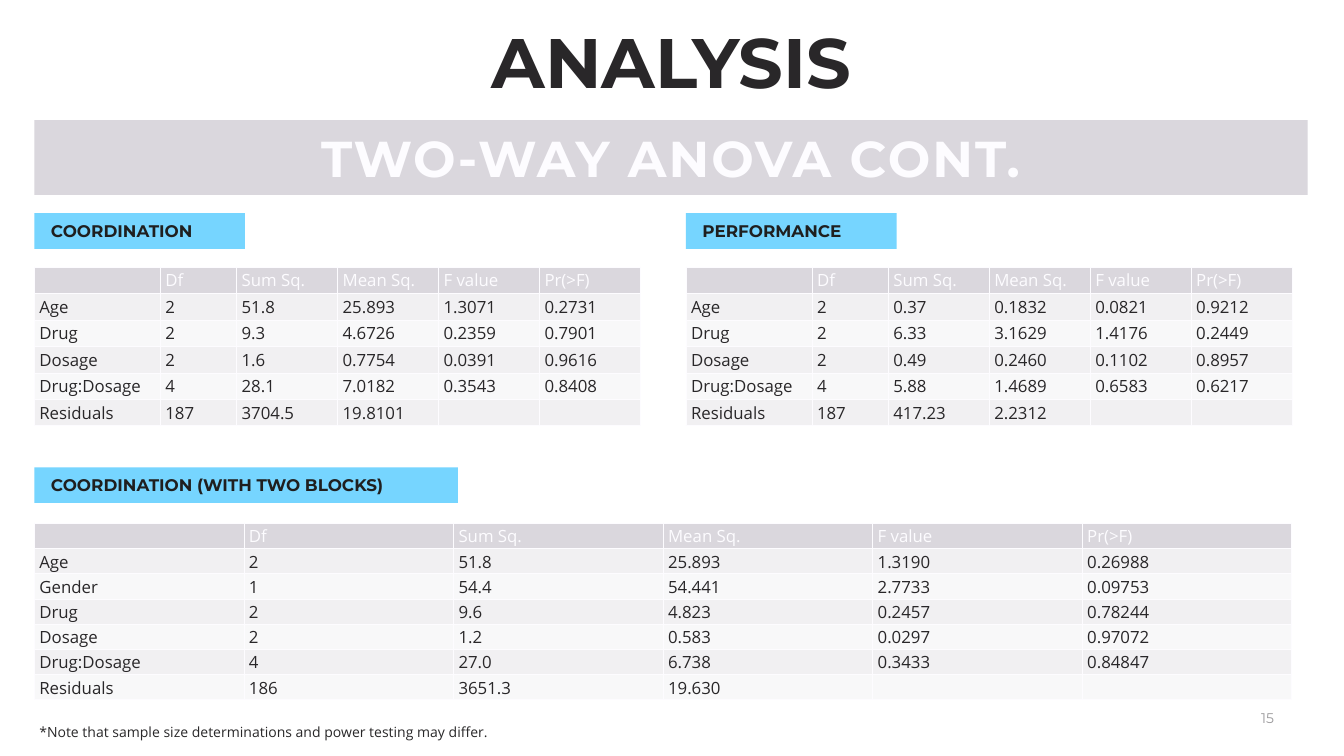
from lxml import etree
from pptx import Presentation
from pptx.dml.color import RGBColor
from pptx.enum.shapes import MSO_SHAPE
from pptx.enum.text import MSO_ANCHOR, PP_ALIGN
from pptx.oxml.ns import qn
from pptx.util import Pt

RECTANGLE = MSO_SHAPE.RECTANGLE
MIDDLE, TOP = MSO_ANCHOR.MIDDLE, MSO_ANCHOR.TOP
CENTER, LEFT = PP_ALIGN.CENTER, PP_ALIGN.LEFT

HEADING, BODY = "Montserrat", "Open Sans"
DARK, WHITE, GREY, BLUE = "292729", "FDFCFF", "DAD7DD", "76D5FF"
BANDS = ["F1F0F2", "F8F8F9"]

HEADER = ["", "Df", "Sum Sq.", "Mean Sq.", "F value", "Pr(>F)"]
COORDINATION = [
    ["Age", "2", "51.8", "25.893", "1.3071", "0.2731"],
    ["Drug", "2", "9.3", "4.6726", "0.2359", "0.7901"],
    ["Dosage", "2", "1.6", "0.7754", "0.0391", "0.9616"],
    ["Drug:Dosage", "4", "28.1", "7.0182", "0.3543", "0.8408"],
    ["Residuals", "187", "3704.5", "19.8101", "", ""],
]
PERFORMANCE = [
    ["Age", "2", "0.37", "0.1832", "0.0821", "0.9212"],
    ["Drug", "2", "6.33", "3.1629", "1.4176", "0.2449"],
    ["Dosage", "2", "0.49", "0.2460", "0.1102", "0.8957"],
    ["Drug:Dosage", "4", "5.88", "1.4689", "0.6583", "0.6217"],
    ["Residuals", "187", "417.23", "2.2312", "", ""],
]
TWO_BLOCKS = [
    ["Age", "2", "51.8", "25.893", "1.3190", "0.26988"],
    ["Gender", "1", "54.4", "54.441", "2.7733", "0.09753"],
    ["Drug", "2", "9.6", "4.823", "0.2457", "0.78244"],
    ["Dosage", "2", "1.2", "0.583", "0.0297", "0.97072"],
    ["Drug:Dosage", "4", "27.0", "6.738", "0.3433", "0.84847"],
    ["Residuals", "186", "3651.3", "19.630", "", ""],
]

MARGIN, SECOND = 49, 980
NARROW = [180, 109] + [144.25] * 4
WIDE = [299.4] * 6
SECTIONS = [
    ("COORDINATION", COORDINATION, MARGIN, 304.5, 301, 381.5, NARROW, 37.8),
    ("PERFORMANCE", PERFORMANCE, SECOND, 304.5, 301, 381.5, NARROW, 37.8),
    ("COORDINATION (WITH TWO BLOCKS)", TWO_BLOCKS, MARGIN, 667.5, 605, 747.5, WIDE, 36),
]


def color(value):
    return RGBColor.from_string(value)


def add_span(para, text, size, font, ink, bold=False):
    span = para.add_run()
    span.text = text
    span.font.size = Pt(size)
    span.font.name = font
    span.font.bold = bold
    span.font.color.rgb = color(ink)
    return span


def fill_frame(box, text, size, font, ink, bold, align, anchor, insets):
    frame = box.text_frame
    frame.word_wrap = True
    frame.vertical_anchor = anchor
    frame.margin_left, frame.margin_top, frame.margin_right, frame.margin_bottom = map(Pt, insets)
    para = frame.paragraphs[0]
    para.alignment = align
    return para, add_span(para, text, size, font, ink, bold)


def add_text(page, place, text, size, font, ink, bold=False, align=CENTER, insets=(3, 3, 3, 3)):
    box = page.shapes.add_textbox(*map(Pt, place))
    return fill_frame(box, text, size, font, ink, bold, align, TOP, insets)


def add_bar(page, place, back, text, size, ink, align, inset):
    bar = page.shapes.add_shape(RECTANGLE, *map(Pt, place))
    bar.shadow.inherit = False
    bar.fill.solid()
    bar.fill.fore_color.rgb = color(back)
    bar.line.fill.background()
    return fill_frame(bar, text, size, HEADING, ink, True, align, MIDDLE, (inset, 3, 3, 3))


def set_borders(cell, widths):
    properties = cell._tc.get_or_add_tcPr()
    for side, width in zip("LRTB", widths):
        line = etree.SubElement(properties, qn(f"a:ln{side}"), w=str(Pt(width)))
        solid = etree.SubElement(line, qn("a:solidFill"))
        etree.SubElement(solid, qn("a:srgbClr"), val=WHITE)


def add_anova(page, left, top, widths, height, records):
    rows = [HEADER] + records
    table = page.shapes.add_table(
        len(rows), len(widths), Pt(left), Pt(top), Pt(sum(widths)), Pt(height * len(rows))
    ).table
    table.horz_banding = False
    for column, width in zip(table.columns, widths):
        column.width = Pt(width)
    for number, values in enumerate(rows):
        table.rows[number].height = Pt(height)
        back = BANDS[(number - 1) % 2] if number else GREY
        ink = DARK if number else WHITE
        borders = (1, 1, 3 if number == 1 else 1, 1 if number else 3)
        for cell, value in zip(table.rows[number].cells, values):
            cell.margin_top, cell.margin_bottom = Pt(2.5), Pt(0)
            set_borders(cell, borders)
            cell.fill.solid()
            cell.fill.fore_color.rgb = color(back)
            if value:
                add_span(cell.text_frame.paragraphs[0], value, 24, BODY, ink)


def main():
    deck = Presentation()
    deck.slide_width, deck.slide_height = Pt(1920), Pt(1080)
    page = deck.slides.add_slide(deck.slide_layouts[6])

    add_text(page, (1775.5, 1011, 70.5, 30), "15", 20, HEADING, "9B9A9C")
    add_text(page, (-2, 24, 1922, 113), "ANALYSIS", 100, HEADING, DARK, True)
    banner = (MARGIN, 171.5, 1819, 107)
    para, span = add_bar(page, banner, GREY, "TWO-WAY ANOVA CONT.", 72, WHITE, CENTER, 3)
    span.font._element.set("spc", "300")

    for title, records, left, label_top, label_width, table_top, widths, height in SECTIONS:
        add_anova(page, left, table_top, widths, height, records)
        label = (left, label_top, label_width, 51)
        add_bar(page, label, BLUE, title, 24, "1F1F1F", LEFT, 23.5)

    note = "*Note that sample size determinations and power testing may differ."
    place = (MARGIN, 1011, 688, 51)
    para, span = add_text(page, place, note, 20, BODY, "292829", False, LEFT, (7.2, 3.6, 7.2, 3.6))
    para.line_spacing = 1.8

    deck.save("out.pptx")


if __name__ == "__main__":
    main()
